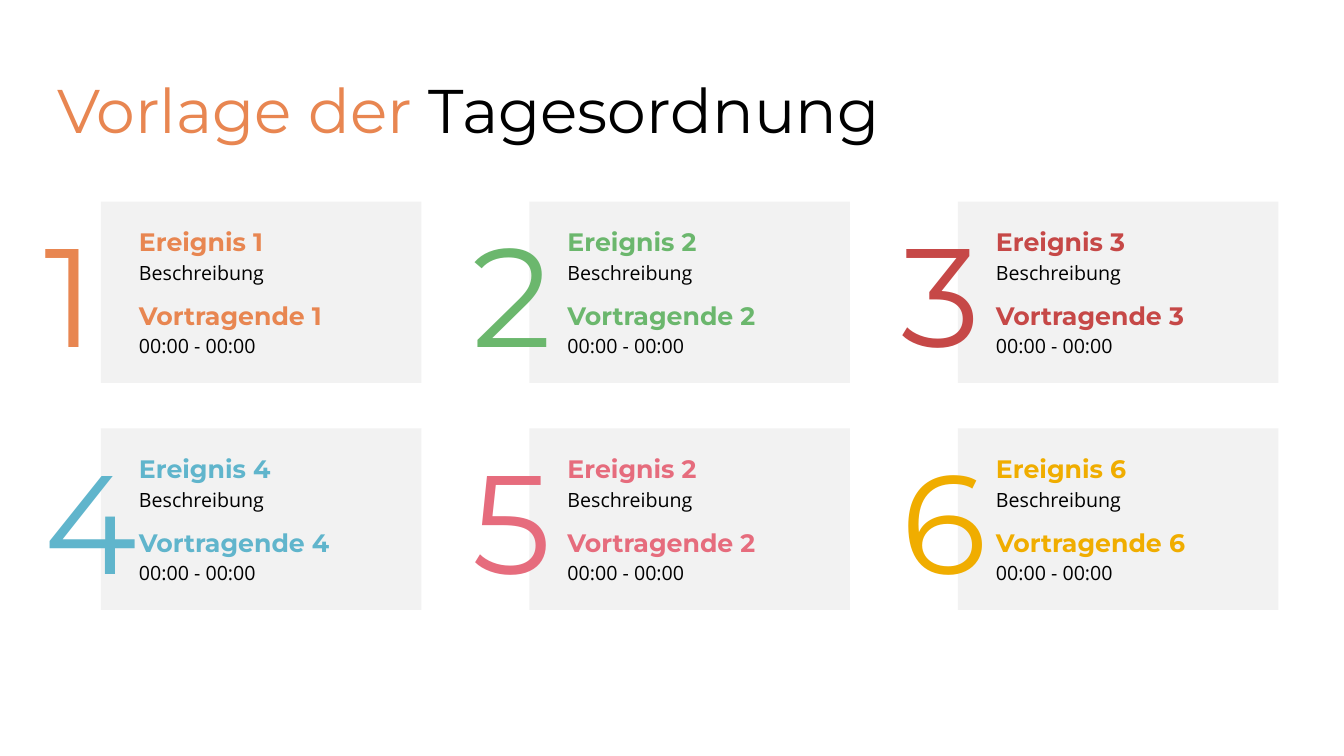
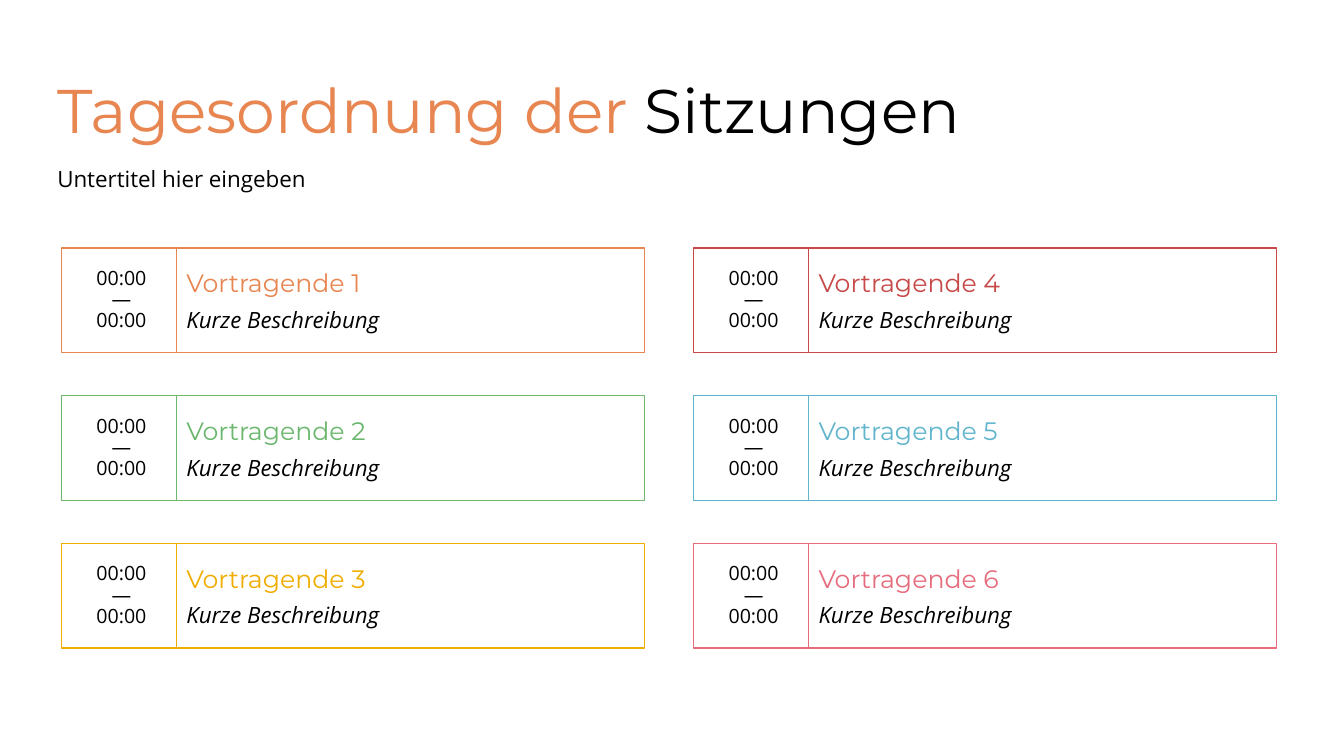
"""Build two agenda slides: numbered event cards and a timetable of sessions."""
from dataclasses import dataclass

from pptx import Presentation
from pptx.dml.color import RGBColor
from pptx.enum.shapes import MSO_SHAPE
from pptx.enum.text import MSO_ANCHOR, PP_ALIGN
from pptx.util import Inches, Pt


@dataclass(frozen=True)
class Theme:
    """Colours, fonts and type sizes of the presentation."""
    orange: str = "E88651"
    green: str = "6BB76D"
    red: str = "C64847"
    blue: str = "60B5CC"
    pink: str = "E66C7D"
    gold: str = "F0AD00"
    black: str = "000000"
    white: str = "FFFFFF"
    card: str = "F2F2F2"
    heading_font: str = "Montserrat"
    body_font: str = "Open Sans"
    title_size: int = 44
    number_size: int = 100
    heading_size: int = 18
    description_size: int = 16
    body_size: int = 14
    tight: float = 0.9


THEME = Theme()
TIME = "00:00"

CARDS_TITLE = ("Vorlage der ", "Tagesordnung")
CARDS = [
    ("1", "Ereignis 1", "Vortragende 1", THEME.orange),
    ("2", "Ereignis 2", "Vortragende 2", THEME.green),
    ("3", "Ereignis 3", "Vortragende 3", THEME.red),
    ("4", "Ereignis 4", "Vortragende 4", THEME.blue),
    ("5", "Ereignis 2", "Vortragende 2", THEME.pink),
    ("6", "Ereignis 6", "Vortragende 6", THEME.gold),
]

SESSIONS_TITLE = ("Tagesordnung der ", "Sitzungen")
SUBTITLE = "Untertitel hier eingeben"
SESSIONS = [
    ("Vortragende 1", THEME.orange),
    ("Vortragende 2", THEME.green),
    ("Vortragende 3", THEME.gold),
    ("Vortragende 4", THEME.red),
    ("Vortragende 5", THEME.blue),
    ("Vortragende 6", THEME.pink),
]

CARD_COLUMNS = 3
CARD_ORIGIN, CARD_PITCH, CARD_SIZE = (1, 2), (4.25, 2.25), (3.18, 1.8)
NUMBER_OFFSET, NUMBER_SIZE = (-0.66, 0.01), (0.95, 1.77)
CARD_INDENT = 0.28

SESSION_ROWS = 3
SESSION_ORIGIN, SESSION_PITCH = (0.61, 2.46), (6.27, 1.465)
SESSION_HEIGHT, TIME_WIDTH, SPEAKER_WIDTH, SPEAKER_OFFSET = 1.04, 1.19, 4.64, 1.14


def heading(text, color, bold=False):
    """Return a run in the heading style."""
    return text, THEME.heading_font, THEME.heading_size, color, bold, False


def body(text, size=THEME.body_size, italic=False):
    """Return a run in the body style."""
    return text, THEME.body_font, size, THEME.black, False, italic


def add_paragraphs(shape, paragraphs, anchor=MSO_ANCHOR.MIDDLE,
                   align=PP_ALIGN.LEFT, line_spacing=None, indent=0):
    """Fill a shape with (space before, runs) paragraphs."""
    frame = shape.text_frame
    frame.word_wrap = True
    frame.vertical_anchor = anchor
    for index, (space_before, runs) in enumerate(paragraphs):
        paragraph = frame.add_paragraph() if index else frame.paragraphs[0]
        if indent:
            properties = paragraph._p.get_or_add_pPr()
            properties.set("marL", str(Inches(indent)))
            properties.set("indent", "0")
        paragraph.alignment = align
        paragraph.space_before = Pt(space_before)
        if line_spacing:
            paragraph.line_spacing = line_spacing
        for text, font, size, color, bold, italic in runs:
            run = paragraph.add_run()
            run.text = text
            run.font.name = font
            run.font.size = Pt(size)
            run.font.bold = bold
            run.font.italic = italic
            run.font.color.rgb = RGBColor.from_string(color)


def add_text(slide, place, paragraphs, **style):
    """Add a text box at (left, top, width, height)."""
    box = slide.shapes.add_textbox(*map(Inches, place))
    add_paragraphs(box, paragraphs, **style)


def add_panel(slide, place, fill, paragraphs, line=None, **style):
    """Add a filled rectangle with text and an optional outline."""
    panel = slide.shapes.add_shape(MSO_SHAPE.RECTANGLE, *map(Inches, place))
    panel.shadow.inherit = False
    panel.fill.solid()
    panel.fill.fore_color.rgb = RGBColor.from_string(fill)
    if line:
        panel.line.color.rgb = RGBColor.from_string(line)
        panel.line.width = Pt(1)
    else:
        panel.line.fill.background()
    add_paragraphs(panel, paragraphs, **style)


def add_titled_slide(presentation, title):
    """Add a blank slide with the two-coloured title."""
    slide = presentation.slides.add_slide(presentation.slide_layouts[6])
    runs = [(text, THEME.heading_font, THEME.title_size, color, False, False)
            for text, color in zip(title, (THEME.orange, THEME.black))]
    add_text(slide, (0.47, 0.4, 11.5, 1.45), [(0, runs)], line_spacing=THEME.tight)
    return slide


def grid_position(origin, pitch, column, row):
    """Return the left and top of a grid cell."""
    return origin[0] + column * pitch[0], origin[1] + row * pitch[1]


def build_cards(presentation):
    """Build the slide of numbered event cards."""
    slide = add_titled_slide(presentation, CARDS_TITLE)
    for index, (number, event, speaker, color) in enumerate(CARDS):
        row, column = divmod(index, CARD_COLUMNS)
        left, top = grid_position(CARD_ORIGIN, CARD_PITCH, column, row)
        add_panel(slide, (left, top, *CARD_SIZE), THEME.card, [
            (0, [heading(event, color, bold=True)]),
            (2.8, [body("Beschreibung")]),
            (11.3, [heading(speaker, color, bold=True)]),
            (2.8, [body(f"{TIME} - {TIME}")]),
        ], indent=CARD_INDENT)
        digit = number, THEME.heading_font, THEME.number_size, color, False, False
        place = (left + NUMBER_OFFSET[0], top + NUMBER_OFFSET[1], *NUMBER_SIZE)
        add_text(slide, place, [(0, [digit])], anchor=MSO_ANCHOR.TOP)


def build_sessions(presentation):
    """Build the slide of timed sessions."""
    slide = add_titled_slide(presentation, SESSIONS_TITLE)
    add_text(slide, (0.47, 1.62, 6.1, 0.34),
             [(0, [body(SUBTITLE, THEME.description_size)])], line_spacing=THEME.tight)
    for index, (speaker, color) in enumerate(SESSIONS):
        column, row = divmod(index, SESSION_ROWS)
        left, top = grid_position(SESSION_ORIGIN, SESSION_PITCH, column, row)
        add_panel(slide, (left, top, TIME_WIDTH, SESSION_HEIGHT), THEME.white,
                  [(0, [body(text)]) for text in (TIME, "—", TIME)],
                  line=color, align=PP_ALIGN.CENTER, line_spacing=THEME.tight)
        add_panel(slide, (left + SPEAKER_OFFSET, top, SPEAKER_WIDTH, SESSION_HEIGHT),
                  THEME.white, [
                      (0, [heading(speaker, color)]),
                      (5.7, [body("Kurze Beschreibung", THEME.description_size, True)]),
                  ], line=color)


def main():
    """Create and save the presentation."""
    presentation = Presentation()
    presentation.slide_width = Inches(13.33)
    presentation.slide_height = Inches(7.5)
    build_cards(presentation)
    build_sessions(presentation)
    presentation.save("out.pptx")


if __name__ == "__main__":
    main()
